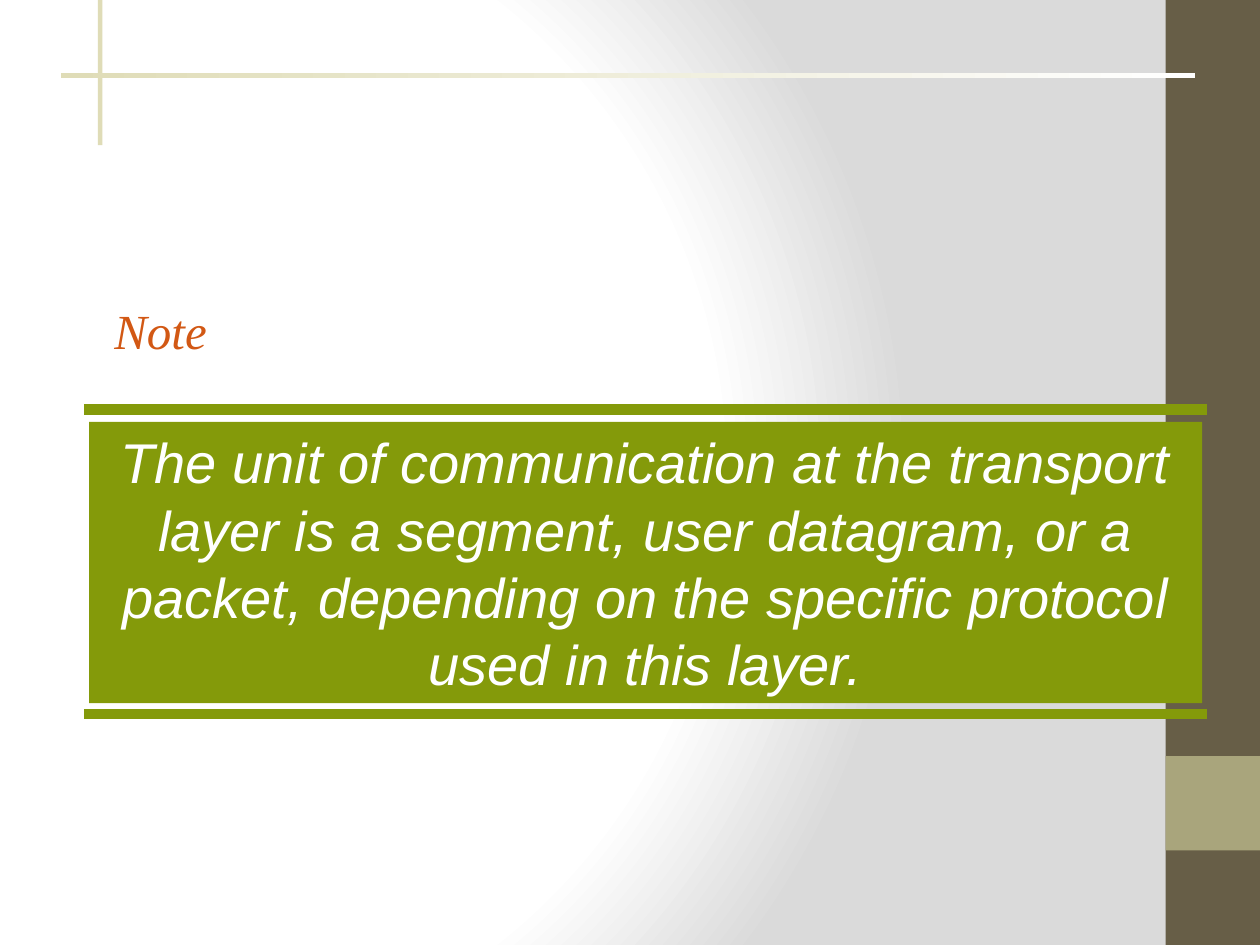
from lxml.etree import SubElement
from pptx import Presentation
from pptx.dml.color import RGBColor
from pptx.enum.shapes import MSO_CONNECTOR, MSO_SHAPE
from pptx.enum.text import MSO_ANCHOR, MSO_AUTO_SIZE, PP_ALIGN
from pptx.oxml import parse_xml
from pptx.oxml.ns import nsdecls, qn
from pptx.util import Pt

COLORS = {
    "white": "FFFFFF",
    "gray": "DADADA",
    "brown": "675E47",
    "khaki": "A9A57C",
    "cream": "DFDCB7",
    "green": "849A0A",
    "orange": "D25814",
}


def color(name):
    return RGBColor.from_string(COLORS[name])


def set_background(slide):
    stops = "".join(
        f'<a:gs pos="{pos * 1000}"><a:srgbClr val="{COLORS[name]}"/></a:gs>'
        for pos, name in ((0, "white"), (75, "white"), (100, "gray"))
    )
    fill = slide.background.fill
    fill.solid()
    bg_pr = slide.element.cSld.find(qn("p:bg")).find(qn("p:bgPr"))
    bg_pr.replace(
        bg_pr.find(qn("a:solidFill")),
        parse_xml(
            f'<a:gradFill {nsdecls("a")} rotWithShape="1"><a:gsLst>{stops}</a:gsLst>'
            '<a:path path="circle"><a:fillToRect l="20000" t="50000" r="100000" b="50000"/>'
            "</a:path></a:gradFill>"
        ),
    )


def add_bar(slide, x, y, w, h, start, end=None):
    sp = slide.shapes.add_shape(MSO_SHAPE.RECTANGLE, Pt(x), Pt(y), Pt(w), Pt(h))
    sp.shadow.inherit = False
    sp.line.fill.background()
    if end:
        sp.fill.gradient()
        sp.fill.gradient_angle = 0
        for stop, name in zip(sp.fill.gradient_stops, (start, end)):
            stop.color.rgb = color(name)
    else:
        sp.fill.solid()
        sp.fill.fore_color.rgb = color(start)
    return sp


def add_rule(slide, x1, x2, y):
    line = slide.shapes.add_connector(MSO_CONNECTOR.STRAIGHT, Pt(x1), Pt(y), Pt(x2), Pt(y))
    line.line.color.rgb = color("green")
    line.line.width = Pt(6)
    SubElement(line._element.spPr, qn("a:effectLst"))


def write_text(sp, text, font, size, name, align, wrap):
    tf = sp.text_frame
    tf.word_wrap = wrap
    tf.auto_size = MSO_AUTO_SIZE.SHAPE_TO_FIT_TEXT
    tf.vertical_anchor = MSO_ANCHOR.TOP
    p = tf.paragraphs[0]
    p.text = text
    p.alignment = align
    p.font.name = font
    p.font.size = Pt(size)
    p.font.italic = True
    p.font.color.rgb = color(name)


def main():
    prs = Presentation()
    prs.slide_width, prs.slide_height = Pt(720), Pt(540)
    slide = prs.slides.add_slide(prs.slide_layouts[6])
    set_background(slide)

    add_bar(slide, 666, 0, 54, 540, "brown")
    add_bar(slide, 666, 432, 54, 54, "khaki")
    add_bar(slide, 56, 0, 2.5, 83, "cream")
    add_bar(slide, 35, 41.7, 648, 2.7, "cream", "white")

    for y in (234, 408):
        add_rule(slide, 48, 690, y)

    statement = add_bar(slide, 51, 241, 636, 160.8, "green")
    write_text(
        statement,
        "The unit of communication at the transport layer is a segment, user datagram, "
        "or a packet, depending on the specific protocol used in this layer.",
        "Arial", 32, "white", PP_ALIGN.CENTER, True,
    )

    note = slide.shapes.add_textbox(Pt(58.3), Pt(168), Pt(69), Pt(41))
    write_text(note, "Note", "Times New Roman", 28, "orange", PP_ALIGN.LEFT, False)

    prs.save("out.pptx")


if __name__ == "__main__":
    main()
